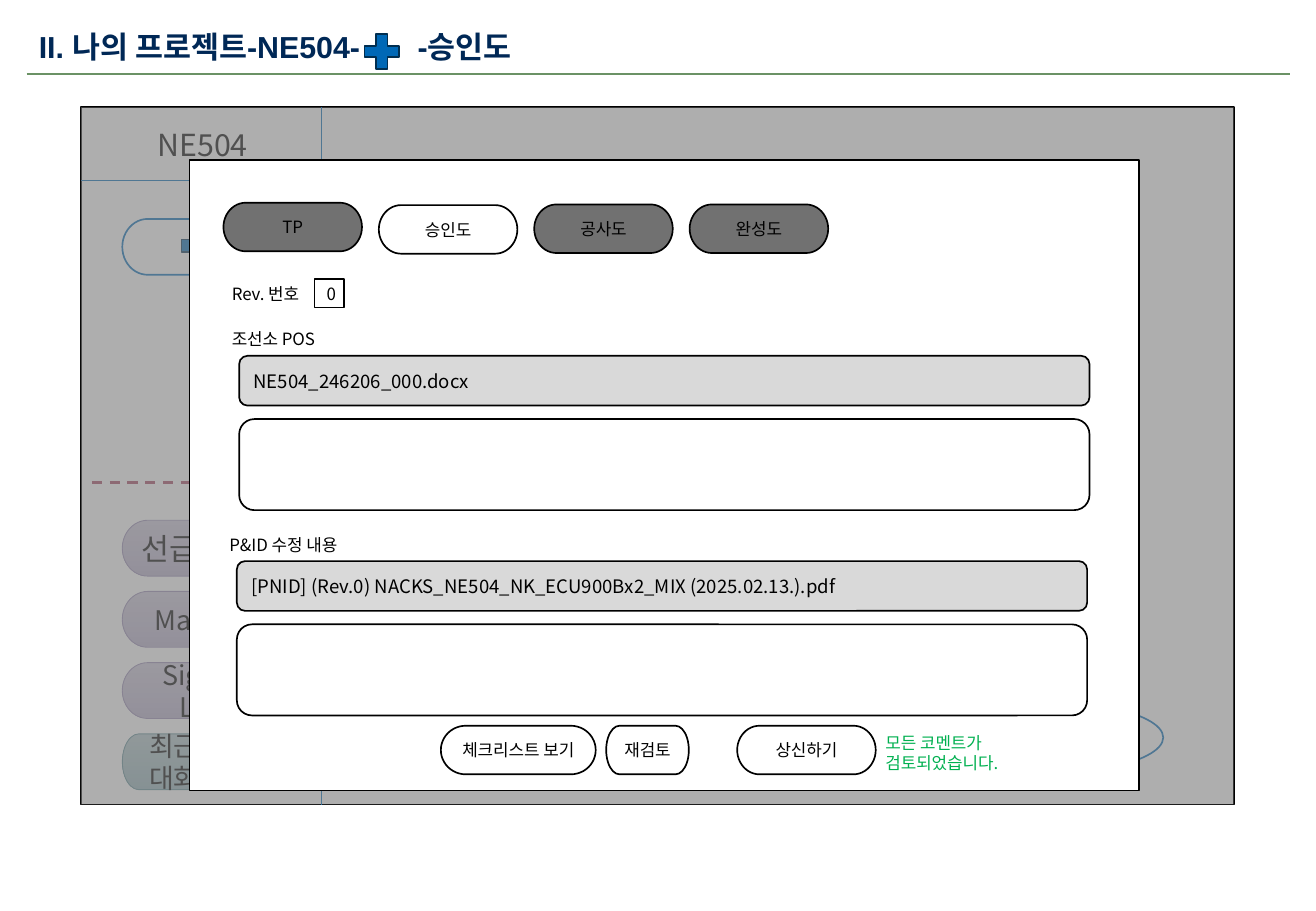
from lxml import etree
from pptx import Presentation
from pptx.dml.color import RGBColor
from pptx.enum.dml import MSO_LINE
from pptx.enum.shapes import MSO_CONNECTOR, MSO_SHAPE
from pptx.enum.text import MSO_ANCHOR, PP_ALIGN
from pptx.oxml.ns import qn
from pptx.util import Pt

RECT = MSO_SHAPE.RECTANGLE
PILL = MSO_SHAPE.FLOWCHART_TERMINATOR
ROUNDED = MSO_SHAPE.FLOWCHART_ALTERNATE_PROCESS
PROCESS = MSO_SHAPE.FLOWCHART_PROCESS
PLUS = MSO_SHAPE.MATH_PLUS
STRAIGHT = MSO_CONNECTOR.STRAIGHT
DASH = MSO_LINE.DASH
LEFT, CENTER = PP_ALIGN.LEFT, PP_ALIGN.CENTER
TOP, MIDDLE = MSO_ANCHOR.TOP, MSO_ANCHOR.MIDDLE
FONT = "Noto Sans CJK KR"
COLORS = {
    "black": "000000", "white": "FFFFFF", "navy": "002856", "rule": "6B9265",
    "blue": "0068B6", "blue_edge": "002E50", "dash": "A54762", "veil": "808080",
    "tab": "717171", "file": "D9D9D9", "message": "00B050",
    "violet_top": "CAC4D7", "violet_bottom": "B6AEC9", "violet_edge": "968AB2",
    "teal_top": "AEC3C7", "teal_bottom": "92B0B7", "teal_edge": "5E8C95",
}


def color(name):
    return RGBColor.from_string(COLORS[name])


def style_text(frame, text, size, align, anchor, tint="black", font=FONT, bold=False):
    frame.text = text
    frame.word_wrap = True
    frame.vertical_anchor = anchor
    for para in frame.paragraphs:
        para.alignment = align
        for span in para.runs:
            span.font.size = Pt(size)
            span.font.name = font
            span.font.bold = bold
            span.font.color.rgb = color(tint)
            east_asian = etree.Element(qn("a:ea"), typeface=FONT)
            span.font._element.find(qn("a:latin")).addnext(east_asian)


def add_box(page, kind, left, top, width, height, fill="white", edge="black",
            weight=1, text="", size=10, align=CENTER):
    box = page.shapes.add_shape(kind, Pt(left), Pt(top), Pt(width), Pt(height))
    box.shadow.inherit = False
    if isinstance(fill, tuple):
        box.fill.gradient()
        box.fill.gradient_angle = 270
        for stop, name in zip(box.fill.gradient_stops, fill):
            stop.color.rgb = color(name)
    else:
        box.fill.solid()
        box.fill.fore_color.rgb = color(fill)
    if edge:
        box.line.color.rgb = color(edge)
        box.line.width = Pt(weight)
    else:
        box.line.fill.background()
    if text:
        style_text(box.text_frame, text, size, align, MIDDLE)
    return box


def add_label(page, left, top, width, height, text, size=10, tint="black"):
    box = page.shapes.add_textbox(Pt(left), Pt(top), Pt(width), Pt(height))
    style_text(box.text_frame, text, size, LEFT, TOP, tint)


def add_line(page, left, top, right, bottom, tint, weight, dash=None):
    line = page.shapes.add_connector(STRAIGHT, Pt(left), Pt(top), Pt(right), Pt(bottom))
    line.line.color.rgb = color(tint)
    line.line.width = Pt(weight)
    if dash:
        line.line.dash_style = dash
    etree.SubElement(line._element.spPr, qn("a:effectLst"))


def add_heading(page, left, top, width, height):
    add_line(page, left, top + 28.8, left + width, top + 28.8, "rule", 0.75)
    title = page.shapes.title
    title.left, title.top, title.width, title.height = map(Pt, (left, top, width, height))
    style_text(title.text_frame, "II. 나의 프로젝트-NE504-\t-승인도", 18, LEFT, MIDDLE,
               "navy", "Arial", True)
    para = title.text_frame.paragraphs[0]
    tabs = etree.SubElement(para._p.get_or_add_pPr(), qn("a:tabLst"))
    etree.SubElement(tabs, qn("a:tab"), pos=str(Pt(224.6)), algn="l")
    para.line_spacing = 0.9
    add_box(page, PLUS, left + 196.6, top + 1.5, 28, 28, "blue", "blue_edge")


def add_app_window(page, left, top, width, height):
    add_box(page, RECT, left, top, width, height)
    divider, header = left + 142.6, top + 43.2
    add_line(page, divider, top, divider, top + height, "blue", 0.5)
    add_line(page, left, header, divider, header, "blue", 0.5)
    add_label(page, left + 38.2, top + 7.9, 336, 28.8, "NE504", 18)
    add_box(page, PILL, left + 185, top + 352, 456.5, 43.2, edge="blue")
    menu = left + 24.5
    add_box(page, PILL, menu, top + 66.2, 93.6, 33.1, edge="blue")
    add_box(page, PLUS, left + 55.4, top + 66.2, 31.7, 31.7, "blue", "blue_edge")
    add_line(page, left + 6.5, top + 222.5, left + 134.6, top + 222.5, "dash", 1.5, DASH)
    items = [("선급 승인", 18, 93.6, "violet"), ("Manual", 16, 93.6, "violet"),
             ("Signal List", 16, 93.6, "violet"), ("최근대화", 16, 61.2, "teal")]
    for index, (text, size, item_width, tone) in enumerate(items):
        add_box(page, PILL, menu, top + 244.8 + 42.2 * index, item_width, 33.1,
                (tone + "_top", tone + "_bottom"), tone + "_edge", 0.5, text, size)
    veil = add_box(page, RECT, left, top, width, height, "veil", None)
    tint = veil._element.spPr.find(qn("a:solidFill"))[0]
    etree.SubElement(tint, qn("a:alpha"), val="63000")


def add_file_section(page, left, top, label, file_name):
    add_label(page, left, top, 434.9, 19.4, label)
    add_box(page, ROUNDED, left + 11.5, top + 19.4, 504, 29.5, "file",
            text=file_name, size=11, align=LEFT)
    add_box(page, ROUNDED, left + 11.5, top + 56.9, 504, 54)


def add_dialog(page, left, top, width, height):
    add_box(page, RECT, left, top, width, height)
    tabs = [("TP", "tab", 25.2), ("승인도", "white", 26.6),
            ("공사도", "tab", 26.2), ("완성도", "tab", 26.2)]
    for index, (text, fill, offset) in enumerate(tabs):
        add_box(page, PILL, left + 20.2 + 92.1 * index, top + offset, 82.1, 28.8,
                fill, text=text)
    add_label(page, left + 18, top + 69.8, 62, 19.4, "Rev. 번호")
    add_box(page, PROCESS, left + 74.2, top + 70.6, 17.3, 16.6, text="0")
    add_file_section(page, left + 18, top + 96.5, "조선소 POS", "NE504_246206_000.docx")
    add_file_section(page, left + 16.6, top + 218.2, "P&ID 수정 내용",
                     "[PNID] (Rev.0) NACKS_NE504_NK_ECU900Bx2_MIX (2025.02.13.).pdf")
    buttons = [("체크리스트 보기", 149, 91.8), ("재검토", 247, 49), ("상신하기", 324.7, 82.1)]
    for text, offset, button_width in buttons:
        add_box(page, PILL, left + offset, top + 335.2, button_width, 28.8, text=text)
    add_label(page, left + 405.4, top + 335.5, 126.7, 31.7,
              "모든 코멘트가\n검토되었습니다.", tint="message")


def main():
    deck = Presentation()
    deck.slide_width, deck.slide_height = Pt(780), Pt(540)
    page = deck.slides.add_slide(deck.slide_layouts[5])
    add_heading(page, 15.8, 15.1, 748.8, 28)
    add_app_window(page, 48, 63.6, 683.3, 413.3)
    add_dialog(page, 112.3, 95, 563, 373.7)
    deck.save("out.pptx")


if __name__ == "__main__":
    main()
